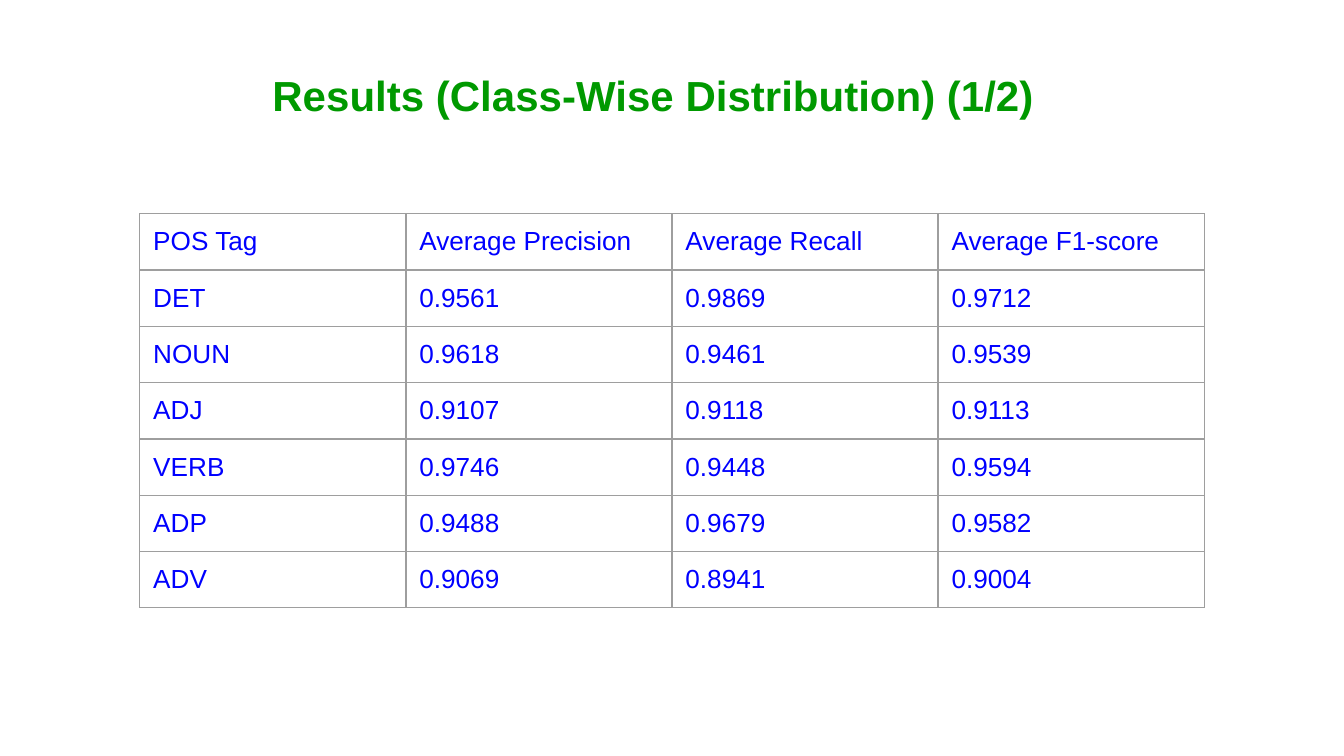
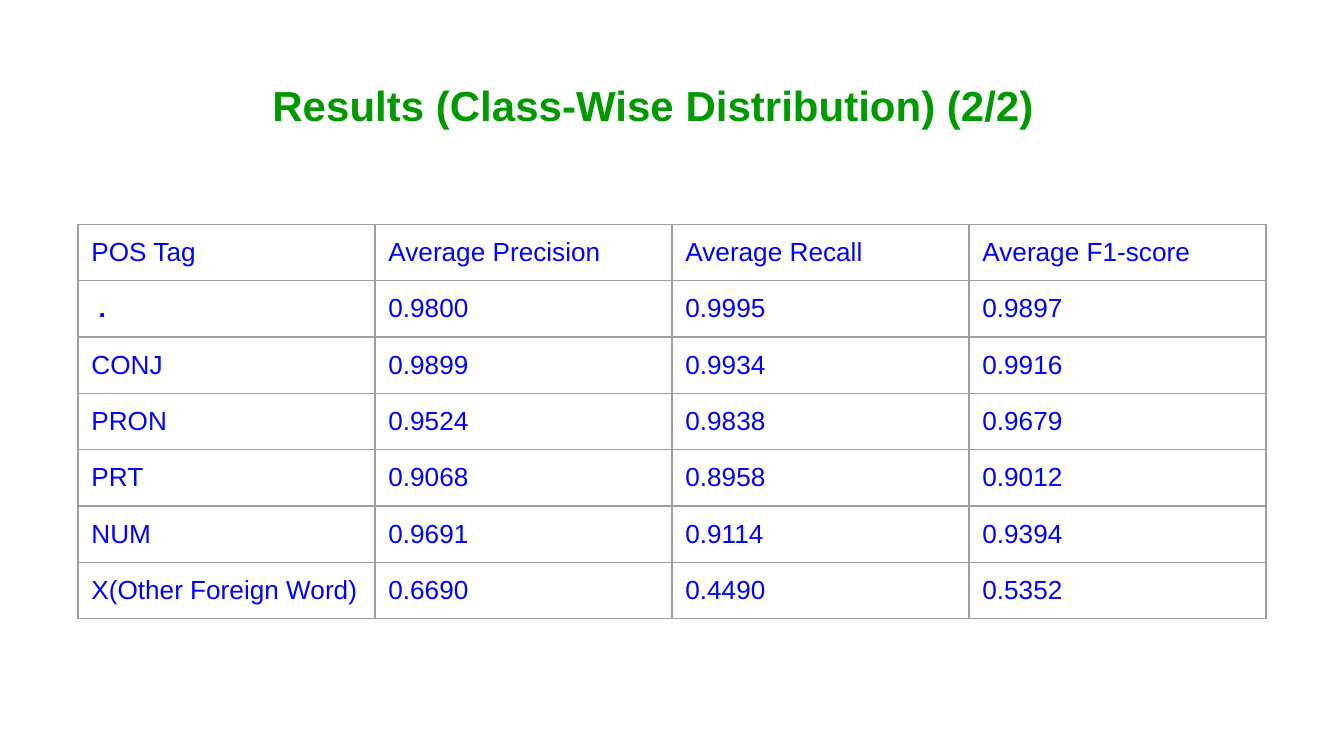
"""Build two slides of class-wise tagging results."""
import pptx
import pptx.dml.color
import pptx.enum.text
import pptx.oxml.ns
import pptx.util
from lxml import etree

Inches = pptx.util.Inches
Pt = pptx.util.Pt

FONT = "Arial"
GREEN = "009900"
BLUE = "0000FF"
GREY = "9E9E9E"
INSET = 0.1
ROW_HEIGHT = Pt(30)
HEADER = ["POS Tag", "Average Precision", "Average Recall", "Average F1-score"]

FIRST_TAGS = [
    ["DET", "0.9561", "0.9869", "0.9712"],
    ["NOUN", "0.9618", "0.9461", "0.9539"],
    ["ADJ", "0.9107", "0.9118", "0.9113"],
    ["VERB", "0.9746", "0.9448", "0.9594"],
    ["ADP", "0.9488", "0.9679", "0.9582"],
    ["ADV", "0.9069", "0.8941", "0.9004"],
]
SECOND_TAGS = [
    [" .", "0.9800", "0.9995", "0.9897"],
    ["CONJ", "0.9899", "0.9934", "0.9916"],
    ["PRON", "0.9524", "0.9838", "0.9679"],
    ["PRT", "0.9068", "0.8958", "0.9012"],
    ["NUM", "0.9691", "0.9114", "0.9394"],
    ["X(Other Foreign Word)", "0.6690", "0.4490", "0.5352"],
]


def rgb(value):
    """Return the colour for a hex string."""
    return pptx.dml.color.RGBColor.from_string(value)


def put_text(tf, text, size=14, color=BLUE, bold=False, indent=0):
    """Write one left-aligned, formatted paragraph."""
    p = tf.paragraphs[0]
    p.alignment = pptx.enum.text.PP_ALIGN.LEFT
    if indent:
        pPr = p._p.get_or_add_pPr()
        pPr.set("marL", str(Inches(indent)))
        pPr.set("indent", "0")
    r = p.add_run()
    r.text = text
    r.font.name = FONT
    r.font.size = Pt(size)
    r.font.bold = bold
    r.font.color.rgb = rgb(color)


def set_insets(box):
    """Give a text frame or cell equal margins on all sides."""
    box.margin_left = box.margin_right = Inches(INSET)
    box.margin_top = box.margin_bottom = Inches(INSET)


def add_borders(cell):
    """Draw a thin grey line on each side of a cell."""
    qn = pptx.oxml.ns.qn
    tcPr = cell._tc.get_or_add_tcPr()
    for side in ("a:lnL", "a:lnR", "a:lnT", "a:lnB"):
        ln = etree.SubElement(tcPr, qn(side), w=str(Pt(0.75)))
        fill = etree.SubElement(ln, qn("a:solidFill"))
        etree.SubElement(fill, qn("a:srgbClr"), val=GREY)


def set_title(s, text, top):
    """Place and format the slide title."""
    sp = s.shapes.title
    sp.left, sp.top = Inches(0.34), Inches(top)
    sp.width, sp.height = Inches(9.32), Inches(0.63)
    tf = sp.text_frame
    tf.word_wrap = True
    tf.auto_size = pptx.enum.text.MSO_AUTO_SIZE.NONE
    tf.vertical_anchor = pptx.enum.text.MSO_ANCHOR.TOP
    set_insets(tf)
    put_text(tf, text, size=22.5, color=GREEN, bold=True, indent=1.5)


def add_scores(s, rows, left, top, col_width):
    """Add a bordered table of scores below the shared header."""
    data = [HEADER] + rows
    table = s.shapes.add_table(
        len(data), len(HEADER), Inches(left), Inches(top),
        Inches(col_width * len(HEADER)), ROW_HEIGHT * len(data)).table
    table.first_row = False
    table.horz_banding = False
    for col in table.columns:
        col.width = Inches(col_width)
    for row, values in zip(table.rows, data):
        row.height = ROW_HEIGHT
        for cell, value in zip(row.cells, values):
            set_insets(cell)
            add_borders(cell)
            cell.fill.background()
            put_text(cell.text_frame, value, bold=value == " .")


def add_results(prs, part, rows, title_top, left, top, col_width):
    """Add one results slide."""
    s = prs.slides.add_slide(prs.slide_layouts[5])
    set_title(s, f" Results (Class-Wise Distribution) ({part}/2)", title_top)
    add_scores(s, rows, left, top, col_width)


def main():
    """Build and save the presentation."""
    prs = pptx.Presentation()
    prs.slide_width = Inches(10)
    prs.slide_height = prs.slide_width * 9 // 16
    add_results(prs, 1, FIRST_TAGS, title_top=0.42, left=1.04, top=1.59, col_width=1.98)
    add_results(prs, 2, SECOND_TAGS, title_top=0.49, left=0.58, top=1.67, col_width=2.21)
    prs.save("out.pptx")


if __name__ == "__main__":
    main()
